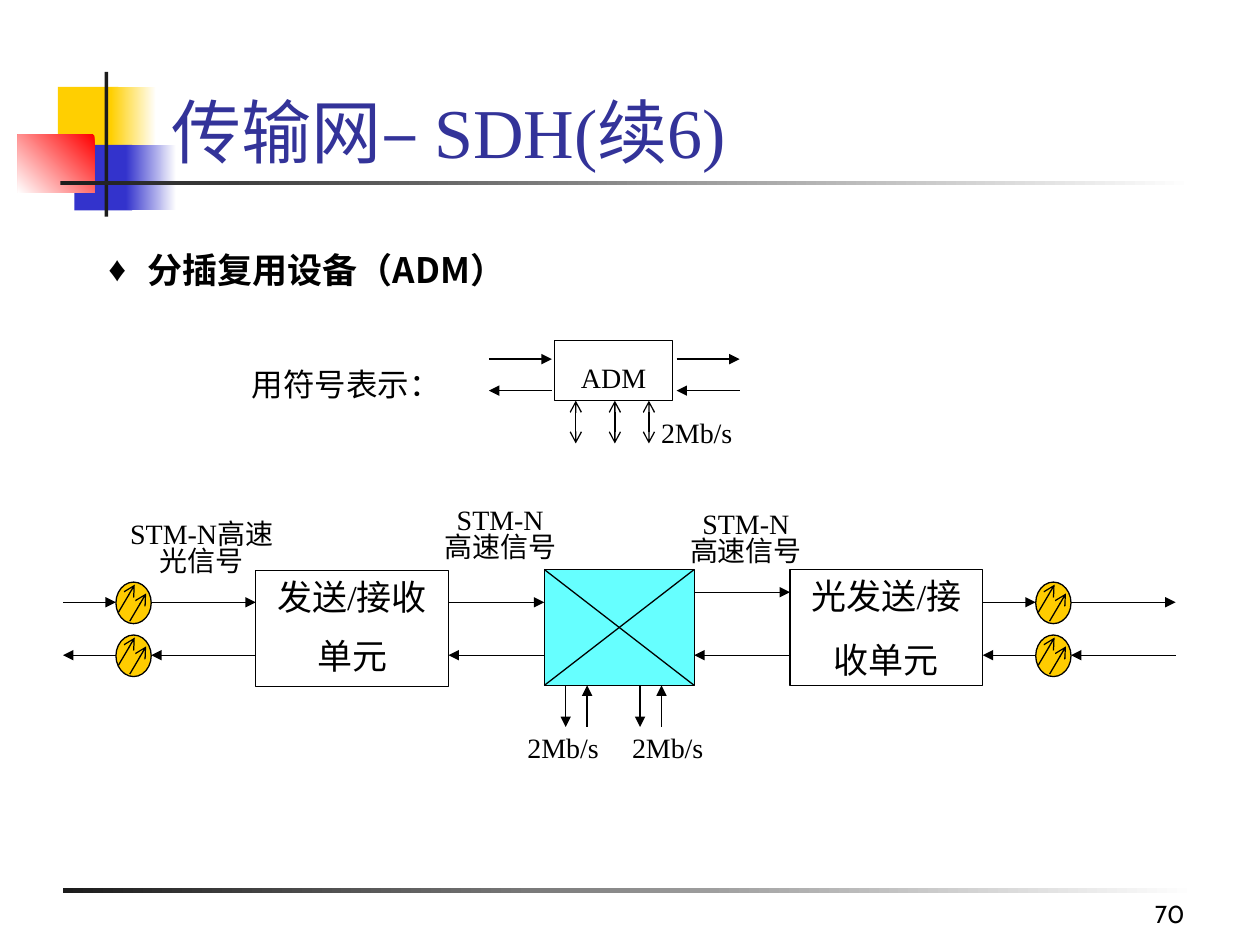
import pptx
import pptx.util
import pptx.dml.color
import pptx.enum.shapes
import pptx.enum.text
import pptx.oxml
import pptx.oxml.ns
from lxml import etree

Inches = pptx.util.Inches
Pt = pptx.util.Pt
SHAPE = pptx.enum.shapes.MSO_SHAPE
ALIGN = pptx.enum.text.PP_ALIGN
ANCHOR = pptx.enum.text.MSO_ANCHOR
qn = pptx.oxml.ns.qn

COLORS = {
    "ink": "000000", "white": "FFFFFF", "title": "333399", "yellow": "FFCF01",
    "blue": "3333CC", "red": "FF0000", "bar": "1C1C1C", "lens": "FFCC00",
    "matrix": "66FFFF",
}
SERIF = "Times New Roman"
SANS = "Noto Sans CJK SC"


def rgb(name):
    return pptx.dml.color.RGBColor.from_string(COLORS[name])


def inches(box):
    return [Inches(value) for value in box]


def write(frame, lines, size, font=SERIF, color="ink", align=ALIGN.CENTER,
          anchor=ANCHOR.MIDDLE, spacing=1.0, gap=0, bold=False, wrap=False):
    frame.text = "\n".join(lines)
    frame.auto_size = pptx.enum.text.MSO_AUTO_SIZE.NONE
    frame.word_wrap = wrap
    frame.vertical_anchor = anchor
    for index, paragraph in enumerate(frame.paragraphs):
        paragraph.alignment = align
        paragraph.line_spacing = spacing
        paragraph.space_before = Pt(gap if index else 0)
        for run in paragraph.runs:
            run.font.name = font
            run.font.size = Pt(size)
            run.font.bold = bold
            run.font.color.rgb = rgb(color)
            east_asian = etree.SubElement(run.font._element, qn("a:ea"))
            east_asian.set("typeface", SANS)


def add_label(slide, box, lines, size, **style):
    label = slide.shapes.add_textbox(*inches(box))
    write(label.text_frame, lines, size, **style)


def add_outlined(slide, kind, box, fill=None):
    outlined = slide.shapes.add_shape(kind, *inches(box))
    outlined.shadow.inherit = False
    if fill:
        outlined.fill.solid()
        outlined.fill.fore_color.rgb = rgb(fill)
    else:
        outlined.fill.background()
    outlined.line.color.rgb = rgb("ink")
    outlined.line.width = Pt(0.75)
    return outlined


def add_line(slide, start, end, head=None, tail="triangle"):
    line = slide.shapes.add_connector(
        pptx.enum.shapes.MSO_CONNECTOR.STRAIGHT, *inches(start + end))
    line.line.color.rgb = rgb("ink")
    line.line.width = Pt(0.75)
    outline = line.line._get_or_add_ln()
    for tag, kind in (("a:headEnd", head), ("a:tailEnd", tail)):
        if kind:
            etree.SubElement(outline, qn(tag)).set("type", kind)
    etree.SubElement(line._element.spPr, qn("a:effectLst"))


def add_both_ways(slide, left, right, upper, lower):
    add_line(slide, (left, upper), (right, upper))
    add_line(slide, (right, lower), (left, lower))


def add_block(slide, box, color, fade_angle=None):
    block = slide.shapes.add_shape(SHAPE.RECTANGLE, *inches(box))
    block.shadow.inherit = False
    block.line.fill.background()
    if fade_angle is None:
        block.fill.solid()
        block.fill.fore_color.rgb = rgb(color)
    else:
        block.fill.gradient()
        block.fill.gradient_angle = fade_angle
        for stop, shade in zip(block.fill.gradient_stops, (color, "white")):
            stop.color.rgb = rgb(shade)


def add_ornament(slide, left, top):
    for x, y, width, height, color, fade_angle in (
            (0.32, 0.12, 0.48, 0.52, "yellow", None),
            (0.74, 0.12, 0.36, 0.52, "yellow", 0),
            (0.45, 0.58, 0.46, 0.52, "blue", None),
            (0.86, 0.58, 0.4, 0.52, "blue", 0),
            (0, 0.5, 0.61, 0.46, "red", 225),
            (0.69, 0, 0.03, 1.15, "bar", None),
            (0.34, 0.87, 9, 0.03, "bar", 0),
            (0.36, 6.48, 9, 0.04, "bar", 0)):
        add_block(slide, (left + x, top + y, width, height), color, fade_angle)


def place(placeholder, box):
    (placeholder.left, placeholder.top,
     placeholder.width, placeholder.height) = inches(box)


def add_title(slide, box):
    title = slide.shapes.title
    place(title, box)
    write(title.text_frame, ["传输网– SDH(续6)"], 40, color="title",
          align=ALIGN.LEFT, anchor=ANCHOR.BOTTOM, wrap=True)


def add_topic(slide, box):
    topic = slide.placeholders[1]
    place(topic, box)
    write(topic.text_frame, ["分插复用设备（ADM）"], 20, font=SANS, bold=True,
          align=ALIGN.LEFT, anchor=ANCHOR.TOP, wrap=True)
    properties = topic.text_frame.paragraphs[0]._p.get_or_add_pPr()
    properties.set("marL", str(Inches(0.4)))
    properties.set("indent", str(Inches(-0.31)))
    etree.SubElement(properties, qn("a:buFont")).set("typeface", "Arial")
    etree.SubElement(properties, qn("a:buChar")).set("char", "♦")


def add_symbol(slide, left, top):
    add_label(slide, (left, top + 0.15, 1.7, 0.4), ["用符号表示："], 18)
    adm = add_outlined(slide, SHAPE.RECTANGLE, (left + 2.5, top, 0.94, 0.48))
    write(adm.text_frame, ["ADM"], 16, spacing=1.4)
    for x in (2.67, 2.98, 3.25):
        add_line(slide, (left + x, top + 0.48), (left + x, top + 0.82),
                 head="arrow", tail="arrow")
    for x in (1.98, 3.47):
        add_both_ways(slide, left + x, left + x + 0.5, top + 0.15, top + 0.4)
    add_label(slide, (left + 3.25, top + 0.55, 0.76, 0.37), ["2Mb/s"], 16)


def add_fibre_pair(slide, left, top):
    row_pitch = 0.42
    upper = top + 0.16
    for row in range(2):
        y = top + row * row_pitch
        add_outlined(slide, SHAPE.OVAL, (left + 0.42, y, 0.28, 0.33), "lens")
        for x, rise in ((0.44, 0.24), (0.53, 0.31)):
            add_line(slide, (left + x, y + rise),
                     (left + x + 0.13, y + rise - 0.22), tail="arrow")
    for start, end in ((0, 0.42), (0.7, 1.53)):
        add_both_ways(slide, left + start, left + end, upper, upper + row_pitch)


def add_unit(slide, box, lines, spacing):
    unit = add_outlined(slide, SHAPE.RECTANGLE, box)
    write(unit.text_frame, lines, 20, spacing=spacing, gap=12.5)


def add_matrix(slide, box):
    left, top, width, height = box
    right, bottom = left + width, top + height
    add_outlined(slide, SHAPE.RECTANGLE, box, "matrix")
    add_line(slide, (right, top), (left, bottom), tail=None)
    add_line(slide, (left, top), (right, bottom), tail=None)
    add_both_ways(slide, left - 0.76, left, 4.78, 5.2)
    add_both_ways(slide, right, right + 0.76, 4.7, 5.2)
    for down, label_left in ((0.17, -0.23), (0.76, 0.6)):
        drop, rise = left + down, left + down + 0.17
        add_line(slide, (drop, bottom), (drop, bottom + 0.33))
        add_line(slide, (rise, bottom + 0.33), (rise, bottom))
        add_label(slide, (left + label_left, bottom + 0.31, 0.76, 0.37),
                  ["2Mb/s"], 16)


def add_signal_labels(slide):
    for box, lines in (
            ((0.91, 4.1, 1.38, 0.53), ["STM-N高速", "光信号"]),
            ((3.43, 3.99, 1.08, 0.53), ["STM-N", "高速信号"]),
            ((5.38, 4.02, 1.08, 0.53), ["STM-N", "高速信号"])):
        add_label(slide, box, lines, 16, spacing=0.8)


def main():
    deck = pptx.Presentation()
    deck.slide_width, deck.slide_height = Inches(10), Inches(7.5)
    slide = deck.slides.add_slide(deck.slide_layouts[1])
    add_ornament(slide, 0.14, 0.57)
    add_title(slide, (1.26, 0.25, 8.52, 1.17))
    add_topic(slide, (0.67, 1.92, 8.5, 4.5))
    add_symbol(slide, 1.9, 2.7)
    add_unit(slide, (2.03, 4.53, 1.53, 0.92), ["发送/接收", "单元"], 0.9)
    add_unit(slide, (6.27, 4.52, 1.53, 0.92), ["光发送/接", "收单元"], 1.0)
    for left in (0.5, 7.8):
        add_fibre_pair(slide, left, 4.62)
    add_matrix(slide, (4.32, 4.52, 1.19, 0.92))
    add_signal_labels(slide)
    add_label(slide, (7.42, 6.92, 2.08, 0.5), ["70"], 14, font="Cabin",
              align=ALIGN.RIGHT, anchor=ANCHOR.BOTTOM, wrap=True)
    deck.save("out.pptx")


if __name__ == "__main__":
    main()
